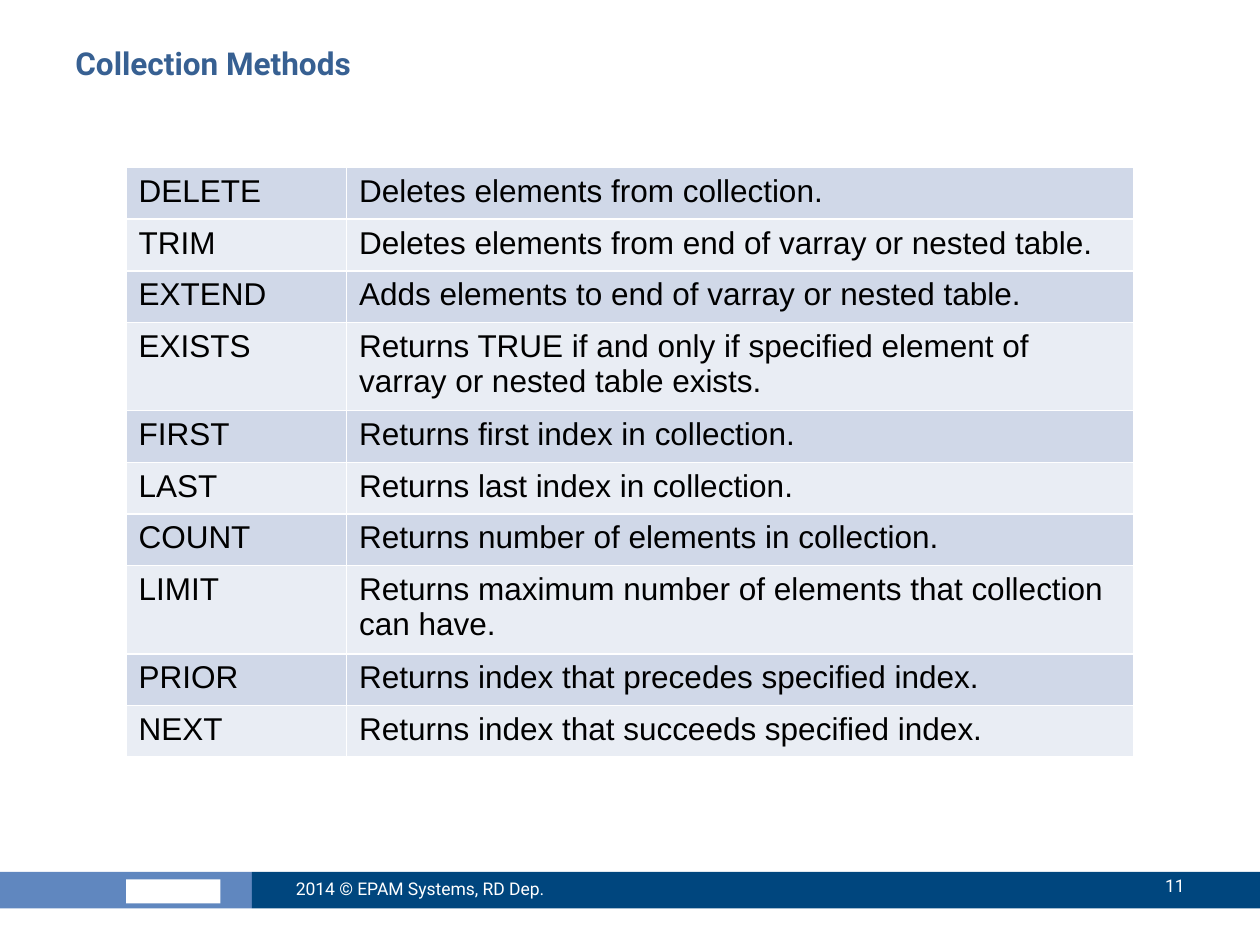
from pptx import Presentation
from pptx.dml.color import RGBColor
from pptx.enum.shapes import MSO_SHAPE as Shape
from pptx.enum.text import MSO_ANCHOR as Anchor, PP_ALIGN as Align
from pptx.oxml import parse_xml
from pptx.oxml.ns import nsdecls
from pptx.util import Inches, Pt

METHODS = [
    ("DELETE", "Deletes elements from collection."),
    ("TRIM", "Deletes elements from end of varray or nested table."),
    ("EXTEND", "Adds elements to end of varray or nested table."),
    ("EXISTS", "Returns TRUE if and only if specified element of "
               "varray or nested table exists."),
    ("FIRST", "Returns first index in collection."),
    ("LAST", "Returns last index in collection."),
    ("COUNT", "Returns number of elements in collection."),
    ("LIMIT", "Returns maximum number of elements that collection can have."),
    ("PRIOR", "Returns index that precedes specified index."),
    ("NEXT", "Returns index that succeeds specified index."),
]
BANDS = ["D0D8E8", "E9EDF4"]


def color(code):
    return RGBColor.from_string(code)


def style(para, size, face, code, bold=False):
    font = para.font
    font.size, font.name, font.bold = Pt(size), face, bold
    font.color.rgb = color(code)


def add_text(slide, box, text, size, code, bold=False,
             anchor=Anchor.MIDDLE, align=Align.LEFT):
    frame = slide.shapes.add_textbox(*map(Inches, box)).text_frame
    frame.word_wrap = True
    frame.vertical_anchor = anchor
    para = frame.paragraphs[0]
    para.text = text
    para.alignment = align
    style(para, size, "Roboto", code, bold)


def add_bar(slide, box, code):
    bar = slide.shapes.add_shape(Shape.RECTANGLE, *map(Inches, box))
    bar.shadow.inherit = False
    bar.fill.solid()
    bar.fill.fore_color.rgb = color(code)
    bar.line.fill.background()


def add_footer(slide, x, y, w, h):
    split = 2
    add_bar(slide, (x, y, split, h), "6087BF")
    add_bar(slide, (x + 1, y + 0.06, 0.75, 0.19), "FFFFFF")
    add_bar(slide, (x + split, y, w - split, h), "00467E")
    add_text(slide, (x + 2.25, y - 0.07, 2.67, 0.4),
             "2014 © EPAM Systems, RD Dep.", 10, "FFFFFF")
    add_text(slide, (x + w - 1.58, y - 0.09, 1.08, 0.4),
             "11", 10, "FFFFFF", align=Align.RIGHT)


def add_borders(cell, code):
    props = cell._tc.get_or_add_tcPr()
    for side in "LRTB":
        props.append(parse_xml(
            f'<a:ln{side} {nsdecls("a")} w="{Pt(1)}"><a:solidFill>'
            f'<a:srgbClr val="{code}"/></a:solidFill></a:ln{side}>'))


def add_methods(slide, x, y, w, row_h):
    """Place the table; rows with wrapped text grow past row_h."""
    box = map(Inches, (x, y, w, row_h * len(METHODS)))
    table = slide.shapes.add_table(len(METHODS), 2, *box).table
    table.first_row = False
    name_w = 1.75
    for col, width in zip(table.columns, (name_w, w - name_w)):
        col.width = Inches(width)
    for i, (row, texts) in enumerate(zip(table.rows, METHODS)):
        row.height = Inches(row_h)
        for cell, text in zip(row.cells, texts):
            cell.text = text
            style(cell.text_frame.paragraphs[0], 18, "Arial", "000000")
            add_borders(cell, "FFFFFF")
            cell.fill.solid()
            cell.fill.fore_color.rgb = color(BANDS[i % 2])


def main():
    deck = Presentation()
    deck.slide_width, deck.slide_height = Inches(10), Inches(7.5)
    slide = deck.slides.add_slide(deck.slide_layouts[6])
    add_footer(slide, 0, 6.92, 10, 0.29)
    add_text(slide, (0.5, 0.3, 9, 0.78), "Collection Methods",
             18, "376092", bold=True, anchor=Anchor.TOP)
    add_methods(slide, 1, 1.33, 8, 0.41)
    deck.save("out.pptx")


if __name__ == "__main__":
    main()
